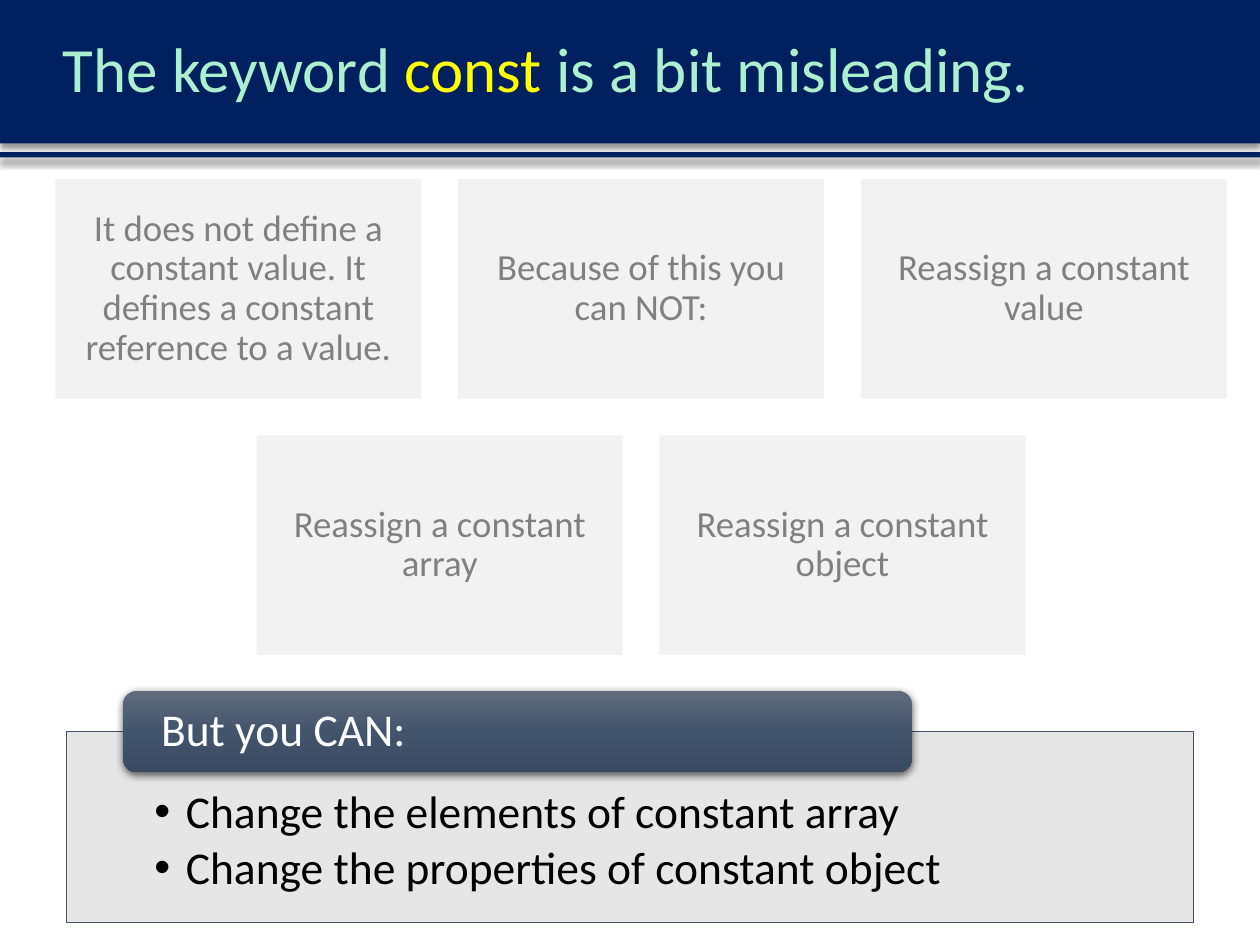
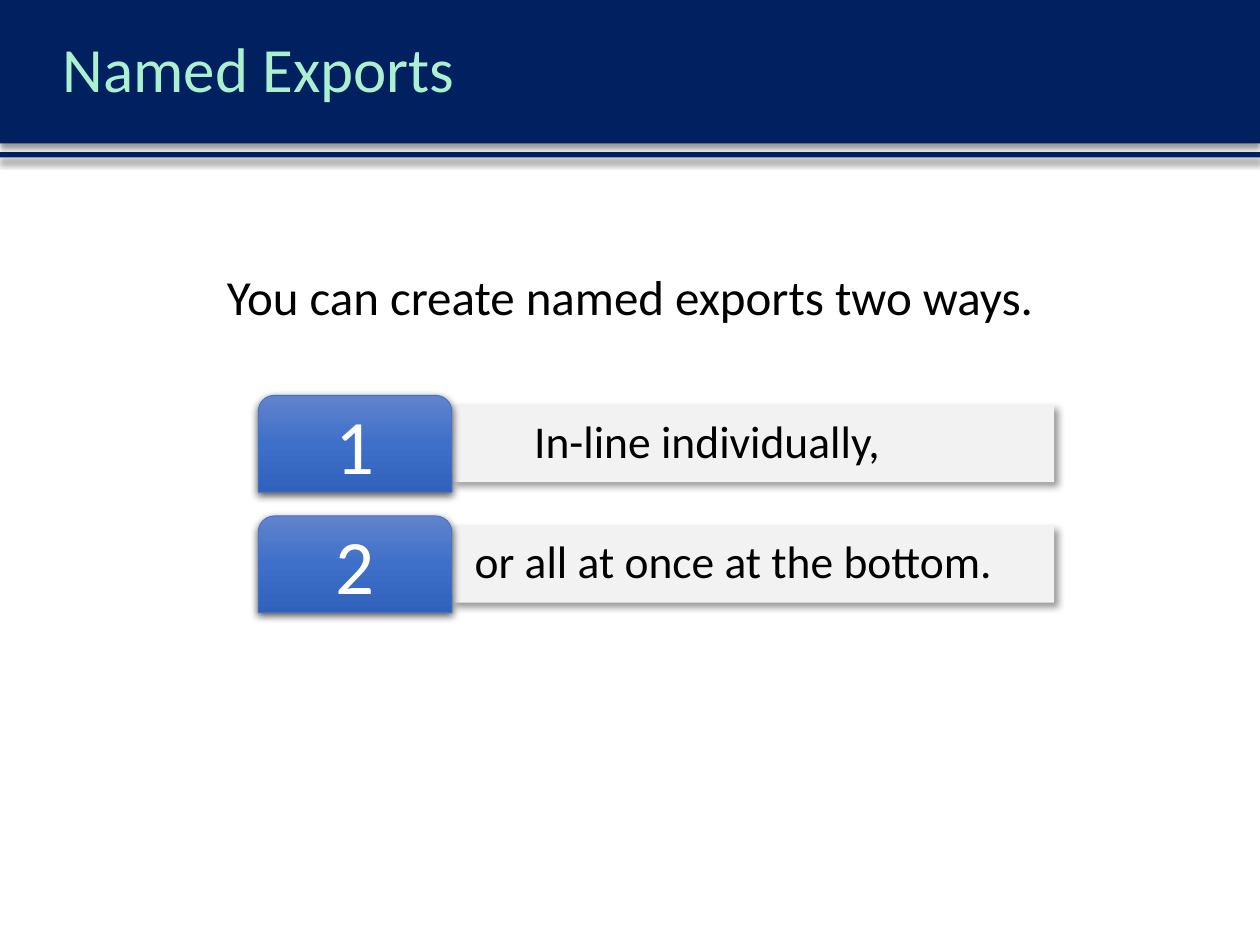
from copy import deepcopy

from lxml.etree import SubElement
from pptx import Presentation
from pptx.dml.color import RGBColor
from pptx.enum.shapes import MSO_SHAPE
from pptx.enum.text import MSO_ANCHOR, PP_ALIGN
from pptx.oxml.ns import qn
from pptx.util import Pt

FONT = "Calibri"
NAVY, MINT, YELLOW = "002060", "ABF1CF", "FFFF00"
PALE, GREY, BLACK, WHITE = "F2F2F2", "808080", "000000", "FFFFFF"
SLATE, PANEL = "44546A", "E7E6E6"
SLATE_GRADIENT = ["606B7D", "42546C", "394A62"]
BLUE, BLUE_GRADIENT = "4472C4", ["6183CB", "3E70CA", "3062BB"]
# Opacity in percent, blur and distance in points, direction in degrees
BAND_SHADOW = (40, 4, 3, 90)
BAR_SHADOW = (40, 4, 3, 45)
RAISED_SHADOW = (63, 4.5, 1.5, 90)
PAGE_WIDTH, PAGE_HEIGHT = 720, 540


def color(hex_code):
    return RGBColor.from_string(hex_code)


def add_shadow(shape, opacity, blur, distance, direction):
    effects = shape._element.spPr.find(qn("a:effectLst"))
    shadow = SubElement(effects, qn("a:outerShdw"), blurRad=str(Pt(blur)),
                        dist=str(Pt(distance)), dir=str(direction * 60000),
                        algn="ctr", rotWithShape="0")
    tint = SubElement(shadow, qn("a:srgbClr"), val=BLACK)
    SubElement(tint, qn("a:alpha"), val=str(opacity * 1000))


def fill_gradient(shape, hex_codes):
    """Fill from top to bottom with three evenly spaced colours."""
    shape.fill.gradient()
    shape.fill.gradient_angle = 270
    stop_list = shape._element.spPr.find(qn("a:gradFill")).find(qn("a:gsLst"))
    stop_list.insert(1, deepcopy(stop_list[0]))
    for index, (stop, code) in enumerate(zip(shape.fill.gradient_stops, hex_codes)):
        stop.position = index / 2
        stop.color.rgb = color(code)


def add_block(page, box, fill, preset=MSO_SHAPE.RECTANGLE, line=None, shadow=None):
    """Add a preset shape; a list as fill makes a gradient."""
    shape = page.shapes.add_shape(preset, *map(Pt, box))
    shape.shadow.inherit = False
    if isinstance(fill, list):
        fill_gradient(shape, fill)
    else:
        shape.fill.solid()
        shape.fill.fore_color.rgb = color(fill)
    if line:
        shape.line.color.rgb = color(line)
        shape.line.width = Pt(0.5)
    else:
        shape.line.fill.background()
    if shadow:
        add_shadow(shape, *shadow)
    return shape


def write(shape, text, size, hex_code, align=PP_ALIGN.LEFT, anchor=MSO_ANCHOR.MIDDLE,
          insets=(7.2, 3.6, 7.2, 3.6), spacing=0.9):
    """Set the text of a shape; insets run left, top, right, bottom."""
    frame = shape.text_frame
    frame.word_wrap = True
    frame.vertical_anchor = anchor
    (frame.margin_left, frame.margin_top,
     frame.margin_right, frame.margin_bottom) = map(Pt, insets)
    frame.text = text
    for para in frame.paragraphs:
        para.alignment = align
        para.line_spacing = spacing
        for span in para.runs:
            style(span, size, hex_code)
    return frame


def style(span, size, hex_code):
    span.font.name = FONT
    span.font.size = Pt(size)
    span.font.color.rgb = color(hex_code)


def add_bullet(para):
    properties = para._p.get_or_add_pPr()
    properties.set("marL", str(Pt(18)))
    properties.set("indent", str(-Pt(18)))
    SubElement(properties, qn("a:buFont"), typeface="Arial")
    SubElement(properties, qn("a:buChar"), char="•")


def add_page(deck, title, keyword=""):
    """Add a page with its title band; the keyword in the title is highlighted."""
    page = deck.slides.add_slide(deck.slide_layouts[6])
    for top, height in ((0, 82), (87, 3)):
        add_block(page, (0, top, PAGE_WIDTH, height), NAVY, shadow=BAND_SHADOW)
    box = page.shapes.add_textbox(Pt(28.8), Pt(0), Pt(PAGE_WIDTH - 28.8), Pt(82))
    para = write(box, "", 36, MINT).paragraphs[0]
    before, word, after = title.partition(keyword) if keyword else (title, "", "")
    for text, hex_code in ((before, MINT), (word, YELLOW), (after, MINT)):
        if text:
            span = para.add_run()
            span.text = text
            style(span, 36, hex_code)
    return page


def add_cards(page, box, texts, columns=3):
    """Fill the box with rows of cards; a short row is centred."""
    left, top, width, height = box
    gap = 20.9
    card_width = (width - (columns - 1) * gap) / columns
    rows = [texts[start:start + columns] for start in range(0, len(texts), columns)]
    card_height = (height - (len(rows) - 1) * gap) / len(rows)
    for row, row_texts in enumerate(rows):
        indent = (columns - len(row_texts)) * (card_width + gap) / 2
        for column, text in enumerate(row_texts):
            card = add_block(page, (left + indent + column * (card_width + gap),
                                    top + row * (card_height + gap),
                                    card_width, card_height), PALE)
            write(card, text, 21, GREY, PP_ALIGN.CENTER, insets=(6.5,) * 4)


def add_allowed_panel(page, box, heading, items):
    left, top, width, height = box
    panel = add_block(page, box, PANEL, line=SLATE)
    frame = write(panel, "\n".join(items), 26, BLACK, anchor=MSO_ANCHOR.TOP,
                  insets=(50, 33.2, 50, 14.4))
    for para in frame.paragraphs:
        para.space_after = Pt(4)
        add_bullet(para)
    label = add_block(page, (left + 32.2, top - 23, 0.7 * width, 46.5), SLATE_GRADIENT,
                      MSO_SHAPE.ROUNDED_RECTANGLE, shadow=RAISED_SHADOW)
    write(label, heading, 26, WHITE, insets=(19.4, 0, 19.4, 0))


def add_numbered_rows(page, box, rows):
    """Stack numbered tabs with a bar; each row is a text and its indent."""
    left, top, width, height = box
    tab_width, tab_height = 110.6, 55.3
    pitch = (height - tab_height) / (len(rows) - 1)
    for index, (text, indent) in enumerate(rows):
        row_top = top + index * pitch
        bar = add_block(page, (left + tab_width, row_top + 5.6, width - tab_width, 44),
                        PALE, shadow=BAR_SHADOW)
        write(bar, text, 26, BLACK, insets=(indent, 3.6, 3.6, 3.6))
        tab = add_block(page, (left, row_top, tab_width, tab_height), BLUE_GRADIENT,
                        MSO_SHAPE.ROUND_2_SAME_RECTANGLE, BLUE, RAISED_SHADOW)
        write(tab, str(index + 1), 44, WHITE, PP_ALIGN.CENTER,
              insets=(10, 10, 10, 6.5))


def build_const_page(deck):
    page = add_page(deck, "The keyword const is a bit misleading.", "const")
    add_cards(page, (31.6, 102.3, 669.6, 272), [
        "It does not define a constant value. It defines a constant reference to a value.",
        "Because of this you can NOT:",
        "Reassign a constant value",
        "Reassign a constant array",
        "Reassign a constant object",
    ])
    add_allowed_panel(page, (38.2, 417.8, 643.8, 109.2), "But you CAN:", [
        "Change the elements of constant array",
        "Change the properties of constant object",
    ])


def build_exports_page(deck):
    page = add_page(deck, "Named Exports")
    intro = page.shapes.add_textbox(Pt(22), Pt(131.8), Pt(676), Pt(69))
    write(intro, "You can create named exports two ways.", 28, BLACK,
          PP_ALIGN.CENTER, MSO_ANCHOR.TOP, spacing=1.5)
    add_numbered_rows(page, (147.6, 225.9, 454.8, 124.2), [
        ("In-line individually,", 47),
        ("or all at once at the bottom.", 13),
    ])


def main():
    deck = Presentation()
    deck.slide_width, deck.slide_height = Pt(PAGE_WIDTH), Pt(PAGE_HEIGHT)
    build_const_page(deck)
    build_exports_page(deck)
    deck.save("out.pptx")


if __name__ == "__main__":
    main()
